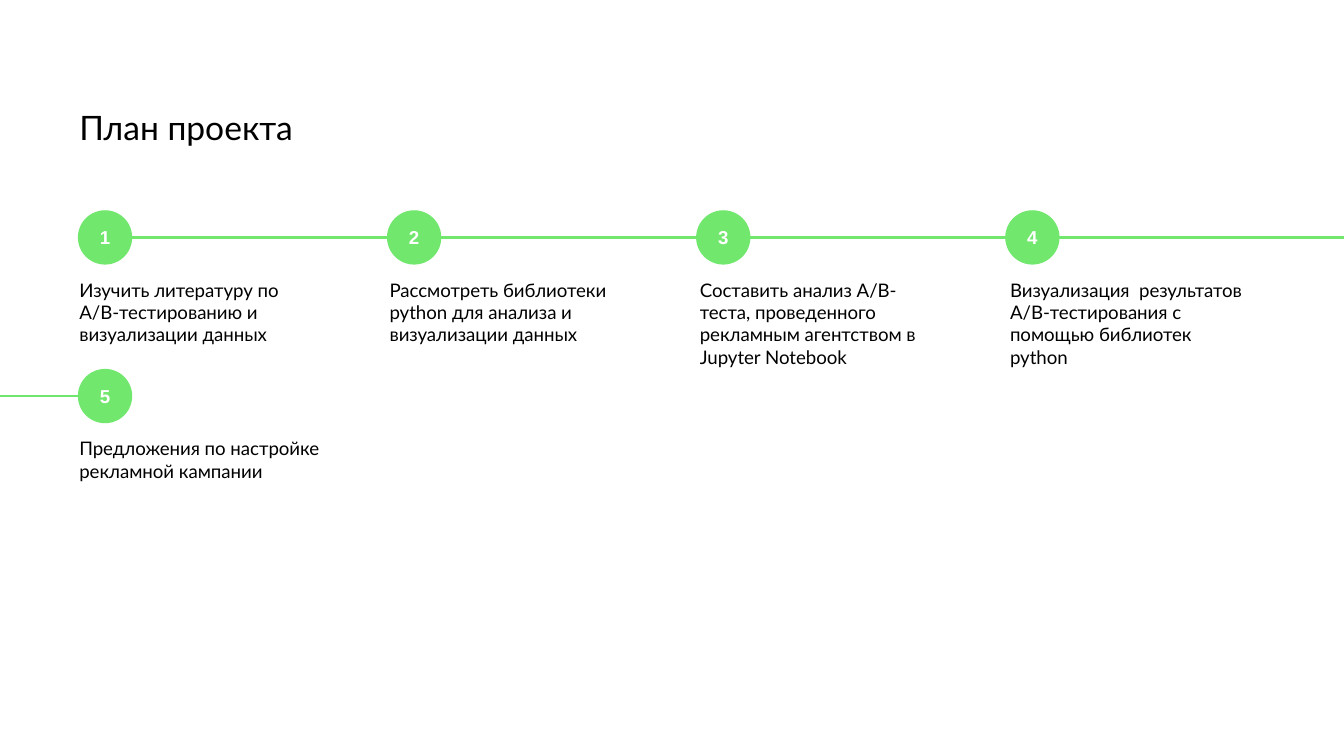
from pptx import Presentation
from pptx.dml.color import RGBColor
from pptx.enum.shapes import MSO_CONNECTOR, MSO_SHAPE
from pptx.enum.text import MSO_ANCHOR, MSO_AUTO_SIZE, PP_ALIGN
from pptx.oxml.ns import qn
from pptx.util import Pt
from lxml.etree import SubElement

# Content
TITLE = "План проекта"
STEPS = [
    "Изучить литературу по A/B-тестированию и визуализации данных",
    "Рассмотреть библиотеки python для анализа и визуализации данных",
    "Составить анализ A/B-теста, проведенного рекламным агентством в Jupyter Notebook",
    "Визуализация  результатов A/B-тестирования c помощью библиотек python",
    "Предложения по настройке рекламной кампании",
]

# Style
GREEN = RGBColor(0x71, 0xE7, 0x6E)
BLACK = RGBColor(0, 0, 0)
WHITE = RGBColor(0xFF, 0xFF, 0xFF)
LINE_WIDTH = 1.5

# Layout, in points
SLIDE_WIDTH, SLIDE_HEIGHT = 720, 405
MARGIN = 42.5
COLUMNS = 4
CIRCLE_PITCH, CAPTION_PITCH, ROW_PITCH = 165.6, 166.2, 85
CIRCLE_TOP, CIRCLE_SIZE = 113.4, 27.6
CAPTION_TOP, CAPTION_WIDTH, CAPTION_HEIGHT = 142, 137.5, 26.6


def format_text(shape, size, color, font_name, anchor, align, insets, bold=False):
    frame = shape.text_frame
    frame.word_wrap = True
    frame.auto_size = MSO_AUTO_SIZE.NONE
    frame.vertical_anchor = anchor
    (frame.margin_left, frame.margin_top,
     frame.margin_right, frame.margin_bottom) = map(Pt, insets)
    paragraph = frame.paragraphs[0]
    paragraph.alignment = align
    paragraph.line_spacing = 1.0
    paragraph.space_before = Pt(0)
    font = paragraph.runs[0].font
    font.size, font.name, font.bold = Pt(size), font_name, bold
    font.color.rgb = color


def add_line(slide, left, right, y):
    line = slide.shapes.add_connector(
        MSO_CONNECTOR.STRAIGHT, Pt(left), Pt(y), Pt(right), Pt(y))
    line.line.color.rgb = GREEN
    line.line.width = Pt(LINE_WIDTH)
    SubElement(line._element.spPr, qn("a:effectLst"))


def add_circle(slide, number, left, top):
    circle = slide.shapes.add_shape(
        MSO_SHAPE.OVAL, Pt(left), Pt(top), Pt(CIRCLE_SIZE), Pt(CIRCLE_SIZE))
    circle.shadow.inherit = False
    circle.fill.solid()
    circle.fill.fore_color.rgb = GREEN
    circle.line.color.rgb = GREEN
    circle.line.width = Pt(LINE_WIDTH)
    circle.text_frame.text = str(number)
    format_text(circle, 10, WHITE, "Arial", MSO_ANCHOR.MIDDLE,
                PP_ALIGN.CENTER, (0, 0, 0, 0), bold=True)


def add_caption(slide, text, left, top):
    caption = slide.shapes.add_textbox(
        Pt(left), Pt(top), Pt(CAPTION_WIDTH), Pt(CAPTION_HEIGHT))
    caption.text_frame.text = text
    format_text(caption, 10, BLACK, "Lato", MSO_ANCHOR.TOP,
                PP_ALIGN.LEFT, (0, 7.2, 7.2, 7.2))


def main():
    presentation = Presentation()
    presentation.slide_width = Pt(SLIDE_WIDTH)
    presentation.slide_height = Pt(SLIDE_HEIGHT)
    slide = presentation.slides.add_slide(presentation.slide_layouts[5])

    # Title
    title = slide.shapes.title
    title.left, title.top = Pt(MARGIN), Pt(57)
    title.width, title.height = Pt(635), Pt(25)
    title.text_frame.text = TITLE
    format_text(title, 18, BLACK, "Lato", MSO_ANCHOR.TOP,
                PP_ALIGN.LEFT, (0, 0, 0, 0))

    # Steps: each row runs on from the slide's right edge to the next row
    for index, text in enumerate(STEPS):
        row, column = divmod(index, COLUMNS)
        left = MARGIN + column * CIRCLE_PITCH
        top = CIRCLE_TOP + row * ROW_PITCH
        middle = top + CIRCLE_SIZE / 2
        if row and column == 0:
            add_line(slide, 0, left, middle)
        if index < len(STEPS) - 1:
            last_column = column == COLUMNS - 1
            line_end = SLIDE_WIDTH if last_column else left + CIRCLE_PITCH
            add_line(slide, left + CIRCLE_SIZE, line_end, middle)
        add_circle(slide, index + 1, left, top)
        add_caption(slide, text, MARGIN + column * CAPTION_PITCH,
                    CAPTION_TOP + row * ROW_PITCH)

    presentation.save("out.pptx")


if __name__ == "__main__":
    main()
